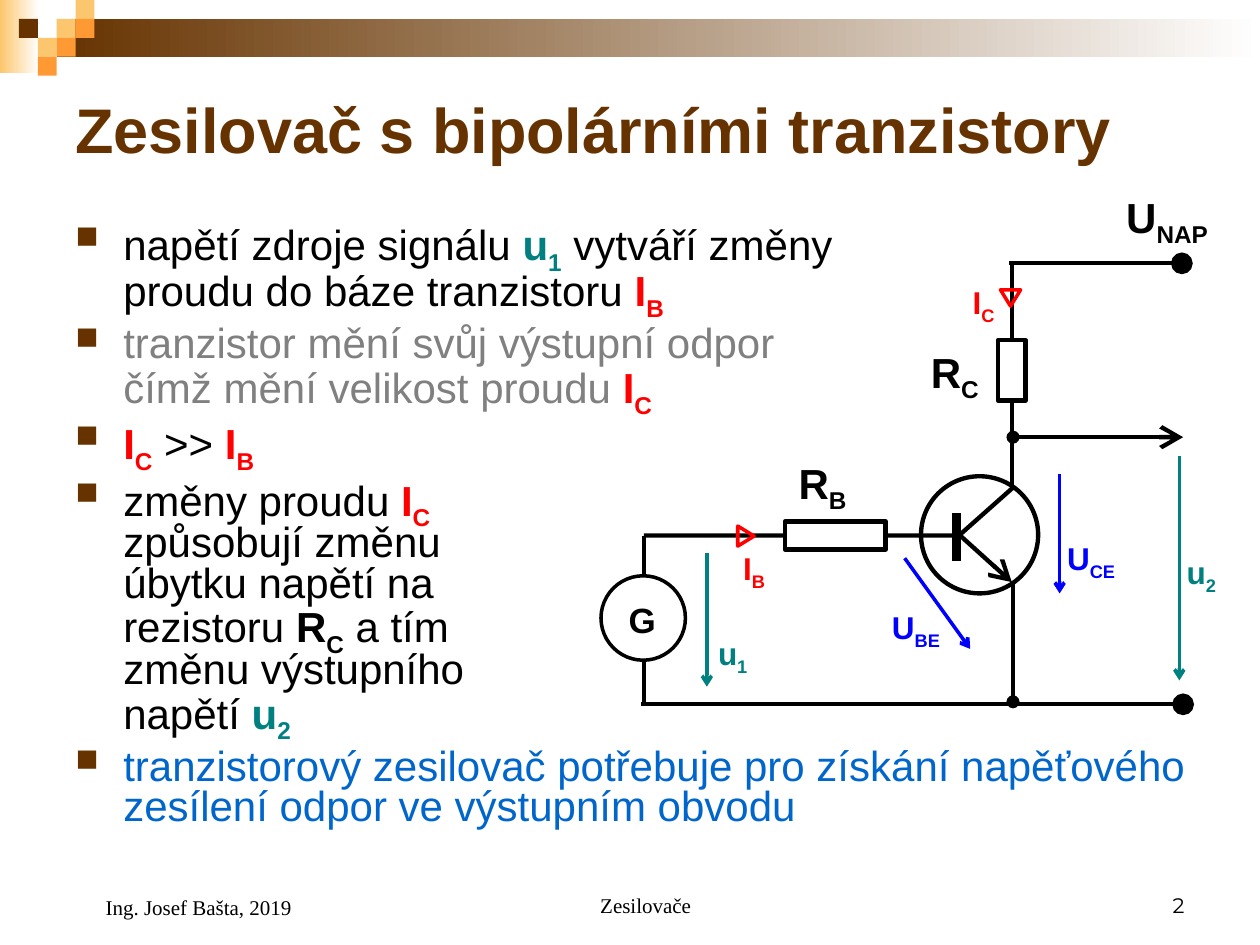
from lxml.etree import SubElement
from pptx import Presentation
from pptx.dml.color import RGBColor
from pptx.enum.shapes import MSO_CONNECTOR, MSO_SHAPE
from pptx.enum.text import MSO_ANCHOR, PP_ALIGN
from pptx.oxml.ns import qn
from pptx.util import Inches, Pt

BLACK, WHITE, GREY, BROWN = "000000", "FFFFFF", "808080", "663300"
RED, BLUE, TEAL, SKY = "FF0000", "0000FF", "008080", "0066CC"
SAND, ORANGE = "FCC66E", "FF9933"

# Left, top, width, height, colour fading to white
BANDS = [(0, 0, 0.31, 0.58, SAND), (0.45, 0.15, 9.55, 0.3, BROWN)]
TILE = 0.15
# Column, row, colour
TILES = [(3, 1, SAND), (4, 0, SAND), (4, 1, ORANGE), (2, 2, SAND),
         (1, 1, BROWN), (3, 2, ORANGE), (2, 3, ORANGE)]

TITLE = "Zesilovač s bipolárními tranzistory"
# Each run: text, subscript, colour; symbols with a subscript are bold
BULLETS = [
    [("napětí zdroje signálu ", "", BLACK), ("u", "1", TEAL),
     (" vytváří změny\nproudu do báze tranzistoru ", "", BLACK),
     ("I", "B", RED)],
    [("tranzistor mění svůj výstupní odpor\nčímž mění velikost proudu ",
      "", GREY), ("I", "C", RED)],
    [("I", "C", RED), (" >> ", "", BLACK), ("I", "B", RED)],
    [("změny proudu ", "", BLACK), ("I", "C", RED),
     ("\nzpůsobují změnu\núbytku napětí na\nrezistoru ", "", BLACK),
     ("R", "C", BLACK), (" a tím\nzměnu výstupního\nnapětí ", "", BLACK),
     ("u", "2", TEAL)],
    [("tranzistorový zesilovač potřebuje pro získání napěťového "
      "zesílení odpor ve výstupním obvodu", "", SKY)],
]

COL, GEN, BASE, GROUND = 8.03, 5.11, 4.25, 5.59
RESISTORS = [(6.23, 4.14, 0.8, 0.22), (7.92, 2.7, 0.22, 0.48)]
DOT, BALL, TIP, TINY = ("oval", "med"), ("oval", "lg"), ("arrow", "lg"), ("arrow", "med")
# From, to, width, head, tail
WIRES = [
    ((5.09, GROUND), (9.39, GROUND), 2.5, None, BALL),
    ((8.01, 2.09), (9.38, 2.09), 2.5, None, BALL),
    ((GEN, BASE), (6.23, BASE), 2.5, None, None),
    ((GEN, BASE), (GEN, 5.6), 2.5, None, None),
    ((7.03, BASE), (7.57, BASE), 2.5, None, None),
    ((COL, 2.07), (COL, 2.7), 2.5, None, None),
    ((COL, 3.85), (COL, 3.18), 2.5, None, None),
    ((8.04, 5.57), (8.04, 4.63), 2.5, DOT, None),
    ((8.04, 3.47), (9.39, 3.47), 2.5, DOT, TIP),
    ((7.59, 4.07), (7.59, 4.45), 5, None, None),
    ((7.6, 4.26), (8.04, 3.87), 2.5, None, None),
    ((7.62, 4.25), (8.03, 4.62), 2.5, None, TIP),
]
# From, to, colour
VOLTS = [((8.41, 3.76), (8.41, 4.71), BLUE), ((7.18, 4.43), (7.7, 5.15), BLUE),
         ((9.36, 3.62), (9.36, 5.4), TEAL), ((5.61, 4.39), (5.61, 5.45), TEAL)]
# Left, top, rotation
FLOWS = [(5.84, 4.19, 90), (7.94, 2.3, 180)]
# Left, top, width, size, run
LABELS = [
    (7.62, 2.2, 0.42, 18, ("I", "C", RED)),
    (5.8, 4.31, 0.42, 18, ("I", "B", RED)),
    (8.37, 4.23, 0.68, 18, ("U", "CE", BLUE)),
    (6.98, 4.78, 0.68, 18, ("U", "BE", BLUE)),
    (9.32, 4.34, 0.68, 18, ("u", "2", TEAL)),
    (5.6, 4.98, 0.68, 18, ("u", "1", TEAL)),
    (8.84, 1.47, 0.97, 24, ("U", "NAP", BLACK)),
    (6.24, 3.58, 0.75, 24, ("R", "B", BLACK)),
    (7.29, 2.7, 0.63, 24, ("R", "C", BLACK)),
    (4.89, 4.7, 0.47, 20, ("G", "", BLACK)),
]
# Left, width, height, alignment, font, text
FOOTERS = [
    (0.74, 2.09, 0.52, PP_ALIGN.LEFT, "Times New Roman", "Ing. Josef Bašta, 2019"),
    (3.66, 2.93, 0.5, PP_ALIGN.CENTER, "Times New Roman", "Zesilovače"),
    (7.17, 2.33, 0.5, PP_ALIGN.RIGHT, "Montserrat", "2"),
]

deck = Presentation()
deck.slide_width, deck.slide_height = Inches(10), Inches(7.5)
slide = deck.slides.add_slide(deck.slide_layouts[6])
shapes = slide.shapes
joints = {}


def rgb(code):
    return RGBColor.from_string(code)


def add_form(kind, x, y, w, h, fill=None, line=None, width=2.5):
    form = shapes.add_shape(kind, *map(Inches, (x, y, w, h)))
    form.shadow.inherit = False
    if fill:
        form.fill.solid()
        form.fill.fore_color.rgb = rgb(fill)
    else:
        form.fill.background()
    if line:
        form.line.color.rgb = rgb(line)
        form.line.width = Pt(width)
    else:
        form.line.fill.background()
    return form


def add_line(start, end, color, width, head=None, tail=None):
    """Draw a line and join each end that meets a resistor's side."""
    line = shapes.add_connector(MSO_CONNECTOR.STRAIGHT, *map(Inches, start + end))
    for point, join in ((start, line.begin_connect), (end, line.end_connect)):
        if point in joints:
            join(*joints[point])
    line.line.color.rgb = rgb(color)
    line.line.width = Pt(width)
    for tag, mark in (("a:headEnd", head), ("a:tailEnd", tail)):
        if mark:
            kind, size = mark
            SubElement(line.line._get_or_add_ln(), qn(tag), type=kind, w=size, len=size)
    SubElement(line._element.spPr, qn("a:effectLst"))


def add_box(x, y, w, h, anchor=MSO_ANCHOR.TOP):
    frame = shapes.add_textbox(*map(Inches, (x, y, w, h))).text_frame
    frame.word_wrap = True
    frame.vertical_anchor = anchor
    return frame


def set_font(para, size, color=BLACK, name="Arial", bold=None):
    font = para.font
    font.size, font.name, font.bold = Pt(size), name, bold
    font.color.rgb = rgb(color)


def add_runs(para, text, sub, color, bold):
    """Write text with its line breaks, then its subscript."""
    parts = [(part, False, i > 0) for i, part in enumerate(text.split("\n"))]
    if sub:
        parts.append((sub, True, False))
    for part, low, wrap in parts:
        if wrap:
            para.add_line_break()
        if part:
            run = para.add_run()
            run.text = part
            run.font.bold = bold
            run.font.color.rgb = rgb(color)
            if low:
                run.font._element.set("baseline", "-25000")


def add_bullet(para):
    props = para._p.get_or_add_pPr()
    props.set("marL", str(Inches(0.38)))
    props.set("indent", str(-Inches(0.38)))
    SubElement(SubElement(props, qn("a:buClr")), qn("a:srgbClr"), val=BROWN)
    SubElement(props, qn("a:buSzPct"), val="75000")
    SubElement(props, qn("a:buChar"), char="■")


for x, y, w, h, color in BANDS:
    band = add_form(MSO_SHAPE.RECTANGLE, x, y, w, h)
    band.fill.gradient()
    band.fill.gradient_angle = 0
    for stop, shade in zip(band.fill.gradient_stops, (color, WHITE)):
        stop.color.rgb = rgb(shade)
for col, row, color in TILES:
    add_form(MSO_SHAPE.RECTANGLE, col * TILE, row * TILE, TILE, TILE, color)

para = add_box(0.5, 0.5, 9, 1.03, MSO_ANCHOR.MIDDLE).paragraphs[0]
para.text = TITLE
set_font(para, 36, BROWN, bold=True)

body = add_box(0.5, 1.73, 9.09, 5.18)
for i, runs in enumerate(BULLETS):
    para = body.add_paragraph() if i else body.paragraphs[0]
    add_bullet(para)
    set_font(para, 24)
    para.line_spacing = 0.8
    if i:
        para.space_before = Pt(6)
    for text, sub, color in runs:
        add_runs(para, text, sub, color, bool(sub))

for x, y, w, h in RESISTORS:
    box = add_form(MSO_SHAPE.RECTANGLE, x, y, w, h, line=BLACK)
    sides = [(x + w / 2, y), (x, y + h / 2), (x + w / 2, y + h), (x + w, y + h / 2)]
    for site, (a, b) in enumerate(sides):
        joints[round(a, 2), round(b, 2)] = (box, site)
for start, end, width, head, tail in WIRES:
    add_line(start, end, BLACK, width, head, tail)
add_form(MSO_SHAPE.OVAL, 7.31, 3.78, 0.93, 0.93, line=BLACK)
add_form(MSO_SHAPE.OVAL, 4.77, 4.57, 0.67, 0.67, WHITE, BLACK, 2)
for x, y, turn in FLOWS:
    add_form(MSO_SHAPE.ISOSCELES_TRIANGLE, x, y, 0.16, 0.13, line=RED, width=2).rotation = turn
for start, end, color in VOLTS:
    add_line(start, end, color, 2, tail=TINY)
for x, y, w, size, run in LABELS:
    para = add_box(x, y, w, 0.56 if size == 24 else 0.44).paragraphs[0]
    set_font(para, size)
    add_runs(para, *run, True)

for x, w, h, align, name, text in FOOTERS:
    para = add_box(x, 6.83, w, h, MSO_ANCHOR.BOTTOM).paragraphs[0]
    para.text = text
    para.alignment = align
    set_font(para, 12, name=name)

deck.save("out.pptx")
